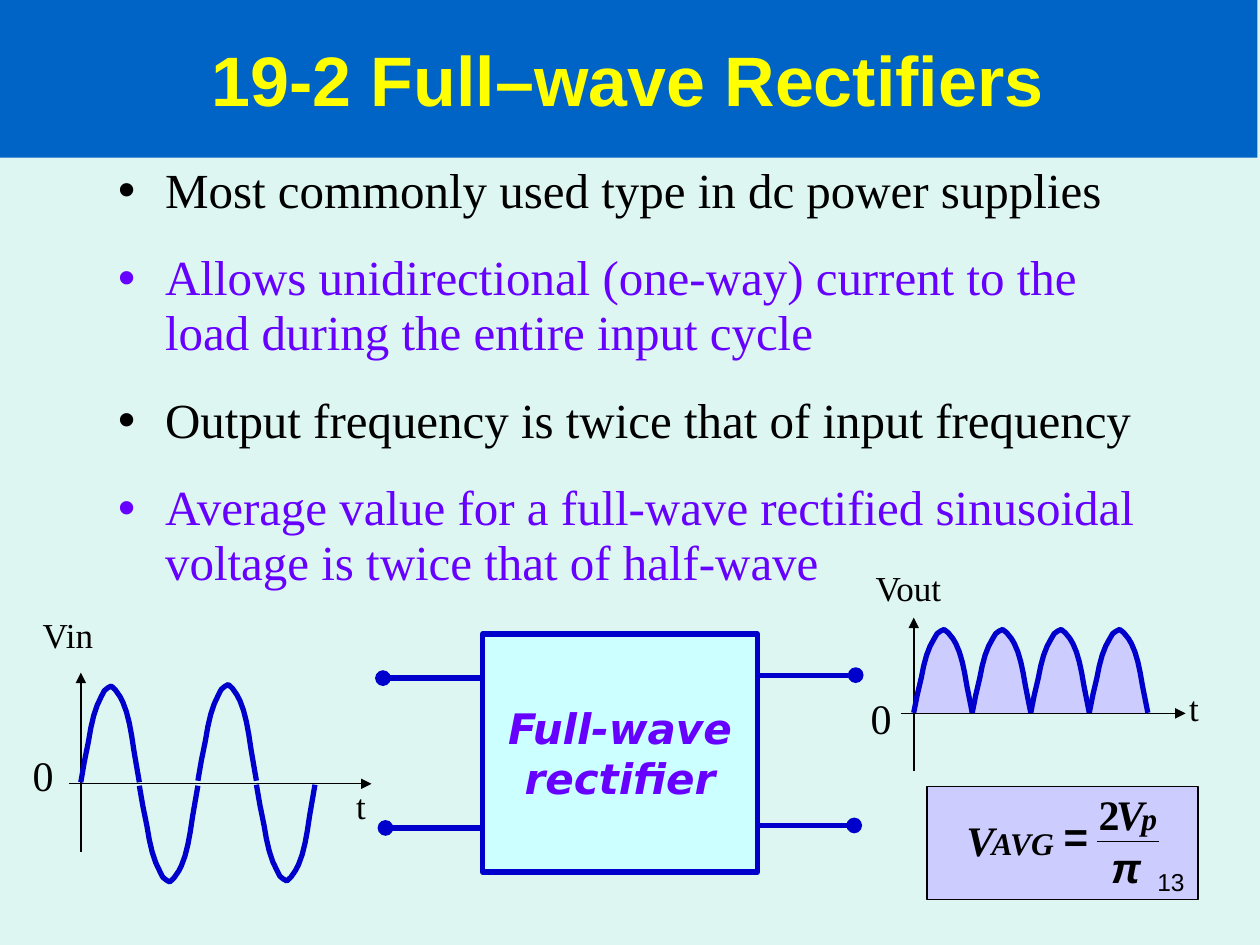
from lxml.etree import SubElement
from pptx import Presentation
from pptx.dml.color import RGBColor
from pptx.enum.shapes import MSO_CONNECTOR as LINK, MSO_SHAPE as SHAPE
from pptx.enum.text import MSO_ANCHOR as ANCHOR, PP_ALIGN as ALIGN
from pptx.oxml.ns import qn
from pptx.util import Cm, Pt

SERIF, SANS, BLOCK_FONT = "Times New Roman", "Arial", "DejaVu Sans"
BLACK, PURPLE, BLUE, LILAC = "000000", "6600FF", "0000CC", "CCCCFF"

TITLE = "19-2 Full–wave Rectifiers"
BULLETS = [
    ("Most commonly used type in dc power supplies", BLACK),
    ("Allows unidirectional (one-way) current to the load during the entire input cycle", PURPLE),
    ("Output frequency is twice that of input frequency", BLACK),
    ("Average value for a full-wave rectified sinusoidal voltage is twice that of half-wave", PURPLE),
]
# All places below are in centimetres.
LABELS = [  # text, left, top, width, height, size
    ("Vin", 0.61, 12.24, 2.77, 1.09, 20),
    ("t", 6.93, 15.7, 0.91, 1.09, 20),
    ("0", 0.41, 14.99, 1.19, 1.27, 24),
    ("Vout", 17.4, 11.3, 2.77, 1.09, 20),
    ("t", 23.72, 13.72, 0.91, 1.09, 20),
    ("0", 17.3, 13.84, 1.19, 1.27, 24),
]
FORMULA = [  # text, left, top, width, size, font, italic
    ("π", 22.4, 16.97, 0.46, 24, SANS, True),
    ("p", 23.01, 16.1, 0.3, 18, SERIF, True),
    ("AVG", 19.99, 16.61, 1.3, 18, SERIF, True),
    ("V", 22.5, 15.9, 0.56, 24, SERIF, True),
    ("V", 19.48, 16.43, 0.56, 24, SERIF, True),
    ("2", 22.15, 15.9, 0.43, 24, SERIF, False),
    ("=", 21.44, 16.33, 0.46, 24, SANS, False),
]
AXES = [  # from, to, width in points
    ((1.4, 15.8), (7.49, 15.8), 0.75),
    ((1.63, 17.17), (1.63, 13.56), 1),
    ((18.16, 14.38), (23.9, 14.38), 0.75),
    ((18.42, 15.54), (18.42, 12.45), 1),
]
TERMINALS = [
    ((7.72, 13.67), (9.68, 13.67)),
    ((7.77, 16.69), (9.73, 16.69)),
    ((17.25, 13.61), (15.29, 13.61)),
    ((17.22, 16.64), (15.24, 16.64)),
]
HALF_WAVE = [  # fractions of width and height
    (0, 0), (0.06, 0.21), (0.13, 0.42), (0.17, 0.56), (0.22, 0.69), (0.28, 0.8),
    (0.35, 0.89), (0.4, 0.95), (0.46, 0.98), (0.52, 1), (0.59, 0.96), (0.67, 0.89),
    (0.72, 0.83), (0.78, 0.73), (0.83, 0.61), (0.87, 0.48), (0.91, 0.32), (1, 0),
]
HALF_PERIOD = 1.18
INPUT_BASES = [15.77, 15.84, 15.74, 15.82]


def color(value):
    return RGBColor.from_string(value)


def write(frame, paragraphs, *, size, font=SERIF, ink=BLACK, bold=False, italic=False,
          align=ALIGN.LEFT, anchor=ANCHOR.TOP, wrap=True, inset=None):
    frame.word_wrap = wrap
    frame.vertical_anchor = anchor
    if inset is not None:
        frame.margin_left = frame.margin_right = frame.margin_top = frame.margin_bottom = Cm(inset)
    for index, text in enumerate(paragraphs):
        para = frame.paragraphs[0] if index == 0 else frame.add_paragraph()
        para.alignment = align
        span = para.add_run()
        span.text = text
        span.font.size, span.font.name = Pt(size), font
        span.font.bold, span.font.italic = bold, italic
        span.font.color.rgb = color(ink)


def add_text(page, place, *paragraphs, **style):
    box = page.shapes.add_textbox(*map(Cm, place))
    write(box.text_frame, paragraphs, **style)
    return box


def paint(shape, fill=None, line=None, width=1):
    shape.shadow.inherit = False
    if fill:
        shape.fill.solid()
        shape.fill.fore_color.rgb = color(fill)
    else:
        shape.fill.background()
    if line:
        shape.line.color.rgb = color(line)
        shape.line.width = Pt(width)
    else:
        shape.line.fill.background()


def add_rect(page, place, **look):
    rect = page.shapes.add_shape(SHAPE.RECTANGLE, *map(Cm, place))
    paint(rect, **look)
    return rect


def add_line(page, start, end, ink, width, head=None, tail=None):
    line = page.shapes.add_connector(LINK.STRAIGHT, *map(Cm, start + end))
    line.line.color.rgb = color(ink)
    line.line.width = Pt(width)
    for tag, kind in (("a:headEnd", head), ("a:tailEnd", tail)):
        if kind:
            SubElement(line.line._get_or_add_ln(), qn(tag), type=kind)
    SubElement(line._element.spPr, qn("a:effectLst"))


def add_half_wave(page, left, base, height, fill=None):
    """Draw one hump; a negative height hangs below the base."""
    points = [(Cm(left + x * HALF_PERIOD), Cm(base - y * height)) for x, y in HALF_WAVE]
    builder = page.shapes.build_freeform(*points[0])
    builder.add_line_segments(points[1:], close=False)
    paint(builder.convert_to_shape(), fill=fill, line=BLUE, width=3)


def add_bullets(page):
    box = add_text(page, (2.13, 3.18, 21.59, 8.66), *[text for text, _ in BULLETS], size=28)
    for index, (para, (_, ink)) in enumerate(zip(box.text_frame.paragraphs, BULLETS)):
        para.line_spacing = 0.94
        para.space_before = Pt(18.3 if index else 0)
        properties = para._p.get_or_add_pPr()
        properties.set("marL", str(Cm(0.95)))
        properties.set("indent", str(Cm(-0.95)))
        SubElement(properties, qn("a:buFont"), typeface=SANS)
        SubElement(properties, qn("a:buChar"), char="•")
        para.runs[0].font.color.rgb = color(ink)


def main():
    deck = Presentation()
    deck.slide_width, deck.slide_height = Cm(25.4), Cm(19.05)
    page = deck.slides.add_slide(deck.slide_layouts[6])
    page.background.fill.solid()
    page.background.fill.fore_color.rgb = color("DEF6F1")

    add_bullets(page)

    add_rect(page, (18.69, 15.85, 5.46, 2.29), fill=LILAC, line=BLACK, width=0.75)
    add_line(page, (22.12, 16.97), (23.37, 16.97), BLACK, 0.5)
    for text, left, top, width, size, font, italic in FORMULA:
        add_text(page, (left, top, width, size * 0.0425), text, size=size, font=font,
                 bold=True, italic=italic, wrap=False, inset=0)

    for start, end, width in AXES:
        add_line(page, start, end, BLACK, width, tail="triangle")
    for text, *place, size in LABELS:
        add_text(page, place, text, size=size)
    for index, base in enumerate(INPUT_BASES):
        step = index * HALF_PERIOD
        add_half_wave(page, 1.63 + step, base, -1.94 if index % 2 else 1.94)
        add_half_wave(page, 18.42 + step, 14.37, 1.68, fill=LILAC)

    block = add_rect(page, (9.73, 12.78, 5.54, 4.8), fill="CCFFFF", line=BLUE, width=3)
    write(block.text_frame, ["Full-wave", "rectifier"], size=24, font=BLOCK_FONT, ink=PURPLE,
          bold=True, italic=True, align=ALIGN.CENTER, anchor=ANCHOR.MIDDLE, wrap=False)
    for start, end in TERMINALS:
        add_line(page, start, end, BLUE, 3, head="oval")

    banner = add_rect(page, (-0.05, 0, 25.4, 3.18), fill="0063C6")
    write(banner.text_frame, [TITLE], size=40, font=SANS, ink="FFFF00", bold=True,
          align=ALIGN.CENTER, anchor=ANCHOR.MIDDLE)
    add_text(page, (18.21, 17.35, 5.92, 1.32), "13", size=14, font=SANS, align=ALIGN.RIGHT)

    deck.save("out.pptx")


if __name__ == "__main__":
    main()
